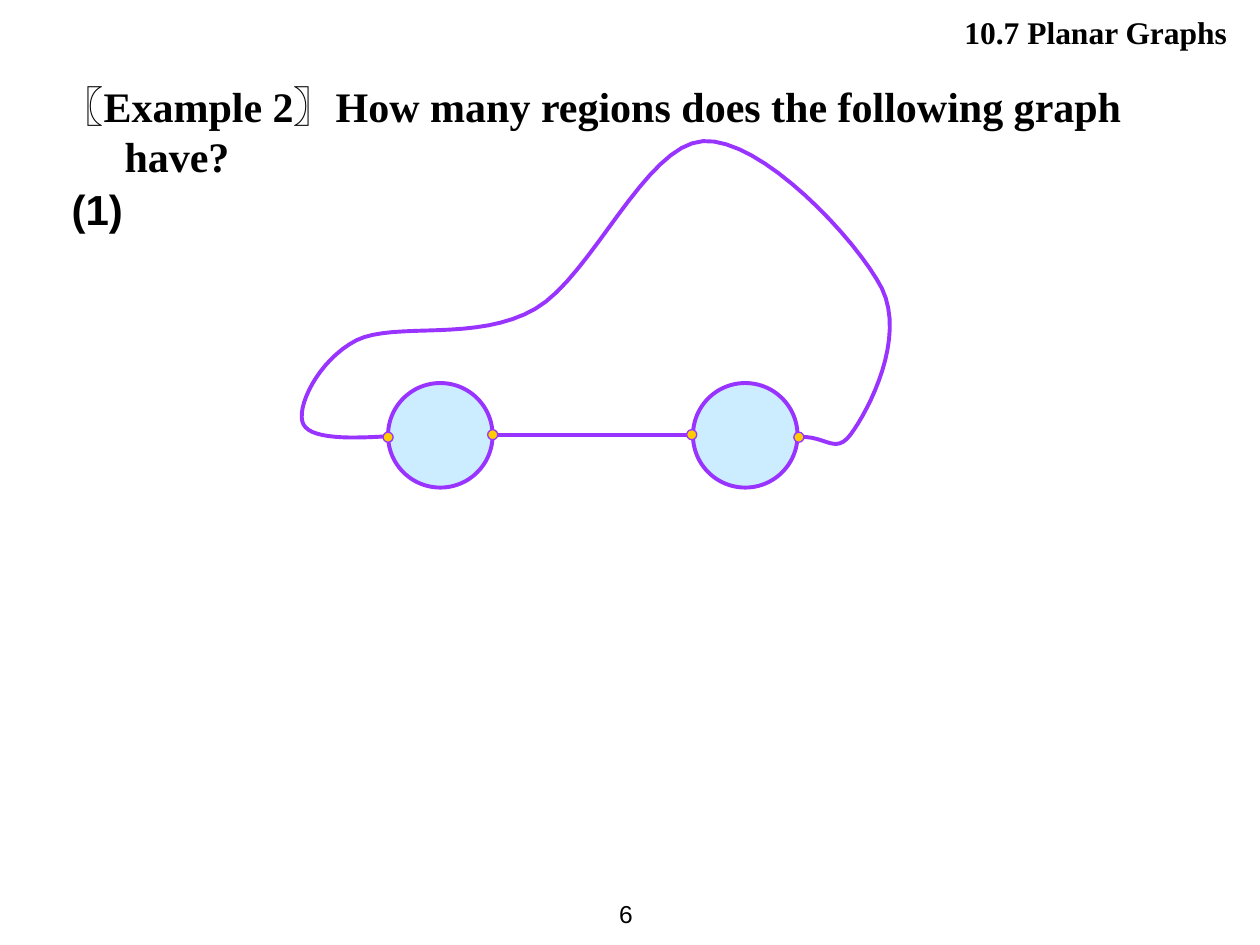
"""Build the slide with a planar graph shaped like a car."""
from pptx import Presentation
from pptx.dml.color import RGBColor
from pptx.enum.shapes import MSO_CONNECTOR as Connector, MSO_SHAPE as Shape
from pptx.enum.text import MSO_ANCHOR as Anchor, MSO_AUTO_SIZE as AutoSize, PP_ALIGN as Align
from pptx.oxml.ns import qn
from pptx.util import Inches, Pt
from lxml.etree import SubElement

COLORS = {"text": "000000", "edge": "9933FF", "wheel": "CCECFF", "vertex": "FFCC00"}
SERIF, SANS = "Times New Roman", "Arial"
BODY_START = (3.25, 3.45)
BODY_CURVES = [
    ((2.86, 3.48), (2.48, 3.5), (2.41, 3.37)),
    ((2.34, 3.25), (2.52, 2.86), (2.83, 2.7)),
    ((3.14, 2.55), (3.79, 2.72), (4.25, 2.45)),
    ((4.7, 2.19), (5.12, 1.15), (5.58, 1.12)),
    ((6.04, 1.09), (6.8, 1.9), (7, 2.29)),
    ((7.19, 2.68), (6.9, 3.25), (6.75, 3.45)),
    ((6.59, 3.66), (6.52, 3.33), (6.08, 3.54)),
]
WHEELS = [(5.5, 3.04), (3.08, 3.04)]
VERTICES = [(5.45, 3.41), (3.87, 3.41), (6.3, 3.43), (3.04, 3.43)]


def color(name):
    """Return the named colour."""
    return RGBColor.from_string(COLORS[name])


def write(shape, runs, size=24, bold=True, align=Align.LEFT, hanging=0, wrap=True, anchor=Anchor.TOP):
    """Fill a shape with one paragraph of (text, font) runs."""
    frame = shape.text_frame
    frame.auto_size = AutoSize.NONE
    frame.word_wrap = wrap
    frame.vertical_anchor = anchor
    paragraph = frame.paragraphs[0]
    paragraph.alignment = align
    if hanging:
        properties = paragraph._p.get_or_add_pPr()
        properties.set("marL", str(Inches(hanging)))
        properties.set("indent", str(-Inches(hanging)))
    for text, font_name in runs:
        run = paragraph.add_run()
        run.text = text
        run.font.name = font_name
        run.font.size = Pt(size)
        run.font.bold = bold
        run.font.color.rgb = color("text")


def curve_points(start, curves, steps=16):
    """Yield points along a chain of cubic Bezier curves."""
    for first, second, end in curves:
        for step in range(1, steps + 1):
            t = step / steps
            weights = ((1 - t) ** 3, 3 * t * (1 - t) ** 2, 3 * t * t * (1 - t), t ** 3)
            corners = (start, first, second, end)
            yield tuple(
                Inches(sum(weight * corner[axis] for weight, corner in zip(weights, corners)))
                for axis in (0, 1)
            )
        start = end


class GraphSlide:
    """Hold the slide, its drawing group and the edge style."""

    def __init__(self, presentation, edge_width=2.25):
        """Add a title-only slide with a group for the graph."""
        self.slide = presentation.slides.add_slide(presentation.slide_layouts[5])
        self.edge_width = edge_width
        self.graph = self.slide.shapes.add_group_shape().shapes

    def title(self, box, text):
        """Move and format the title."""
        shape = self.slide.shapes.title
        shape.left, shape.top, shape.width, shape.height = map(Inches, box)
        write(shape, [(text, SERIF)], size=18, align=Align.RIGHT)

    def text(self, box, runs, **style):
        """Add a text box."""
        write(self.slide.shapes.add_textbox(*map(Inches, box)), runs, **style)

    def outline(self, shape, width):
        """Give a shape the edge colour."""
        shape.line.color.rgb = color("edge")
        shape.line.width = Pt(width)

    def curve(self, start, curves):
        """Add an open curved edge."""
        builder = self.graph.build_freeform(*map(Inches, start))
        builder.add_line_segments(curve_points(start, curves), close=False)
        shape = builder.convert_to_shape()
        shape.shadow.inherit = False
        shape.fill.background()
        self.outline(shape, self.edge_width)

    def edge(self, start, end):
        """Add a straight edge."""
        line = self.graph.add_connector(Connector.STRAIGHT, *map(Inches, start + end))
        self.outline(line, self.edge_width)
        SubElement(line._element.spPr, qn("a:effectLst"))

    def circle(self, corner, diameter, fill, width):
        """Add a filled circle."""
        size = Inches(diameter)
        shape = self.graph.add_shape(Shape.OVAL, *map(Inches, corner), size, size)
        shape.shadow.inherit = False
        shape.fill.solid()
        shape.fill.fore_color.rgb = color(fill)
        self.outline(shape, width)


def main():
    """Build and save the presentation."""
    presentation = Presentation()
    presentation.slide_width, presentation.slide_height = Inches(10), Inches(7.5)
    page = GraphSlide(presentation)
    page.title((3.98, 0.05, 5.86, 0.42), "10.7 Planar Graphs")
    page.text((4.45, 7, 0.67, 0.5), [("6", SANS)], size=14, bold=False,
              align=Align.RIGHT, wrap=False, anchor=Anchor.MIDDLE)
    question = "Example 2〗How many regions does the following graph have?"
    page.text((0.39, 0.59, 9.14, 0.9), [("〖", SANS), (question, SERIF)], hanging=0.5)
    page.text((0.47, 1.41, 9.14, 0.5), [("(1)", SANS)], hanging=0.5)
    page.curve(BODY_START, BODY_CURVES)
    page.edge((3.75, 3.45), (5.58, 3.45))
    for corner in WHEELS:
        page.circle(corner, 0.83, "wheel", page.edge_width)
    for corner in VERTICES:
        page.circle(corner, 0.08, "vertex", 0.75)
    presentation.save("out.pptx")


if __name__ == "__main__":
    main()
